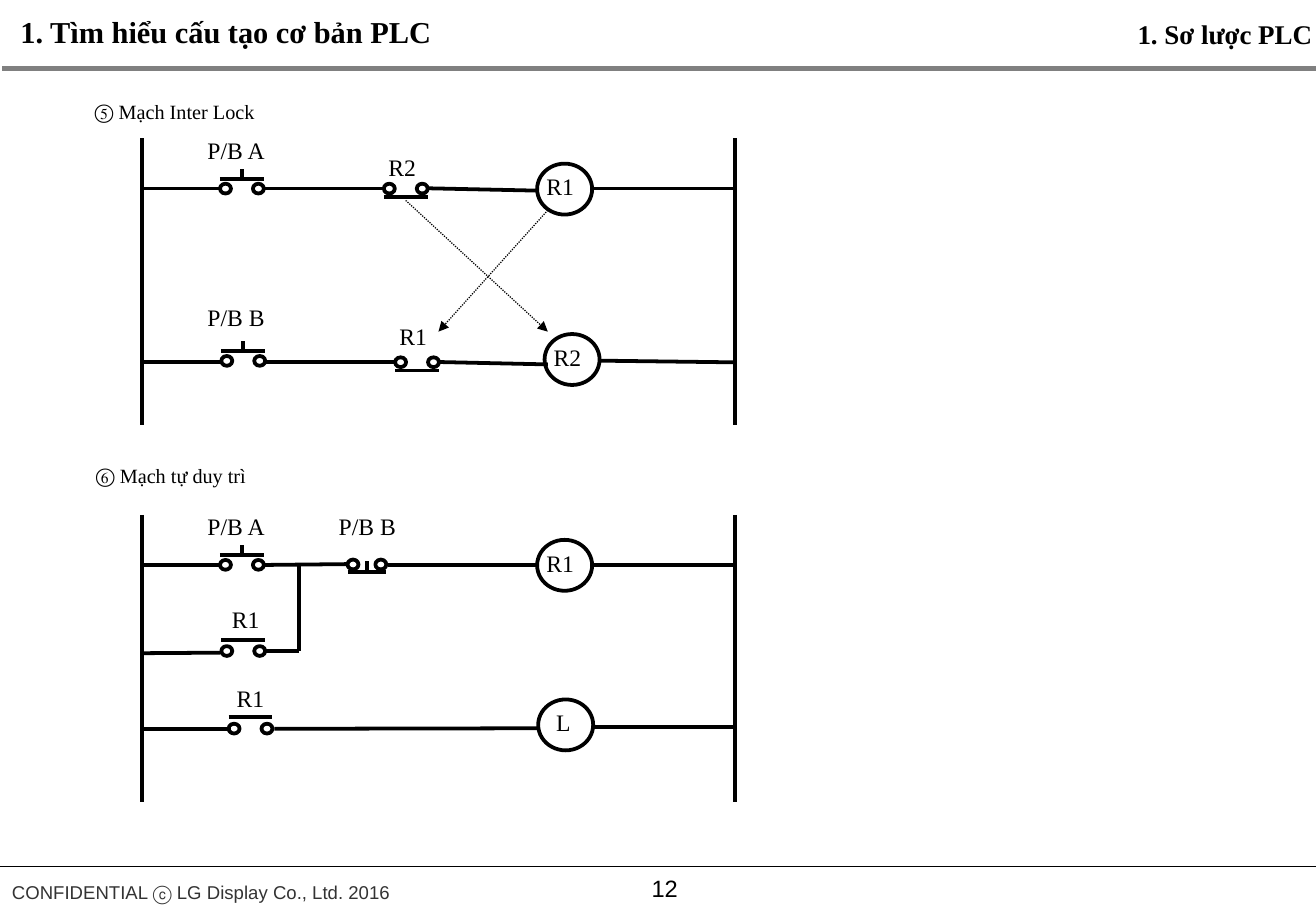
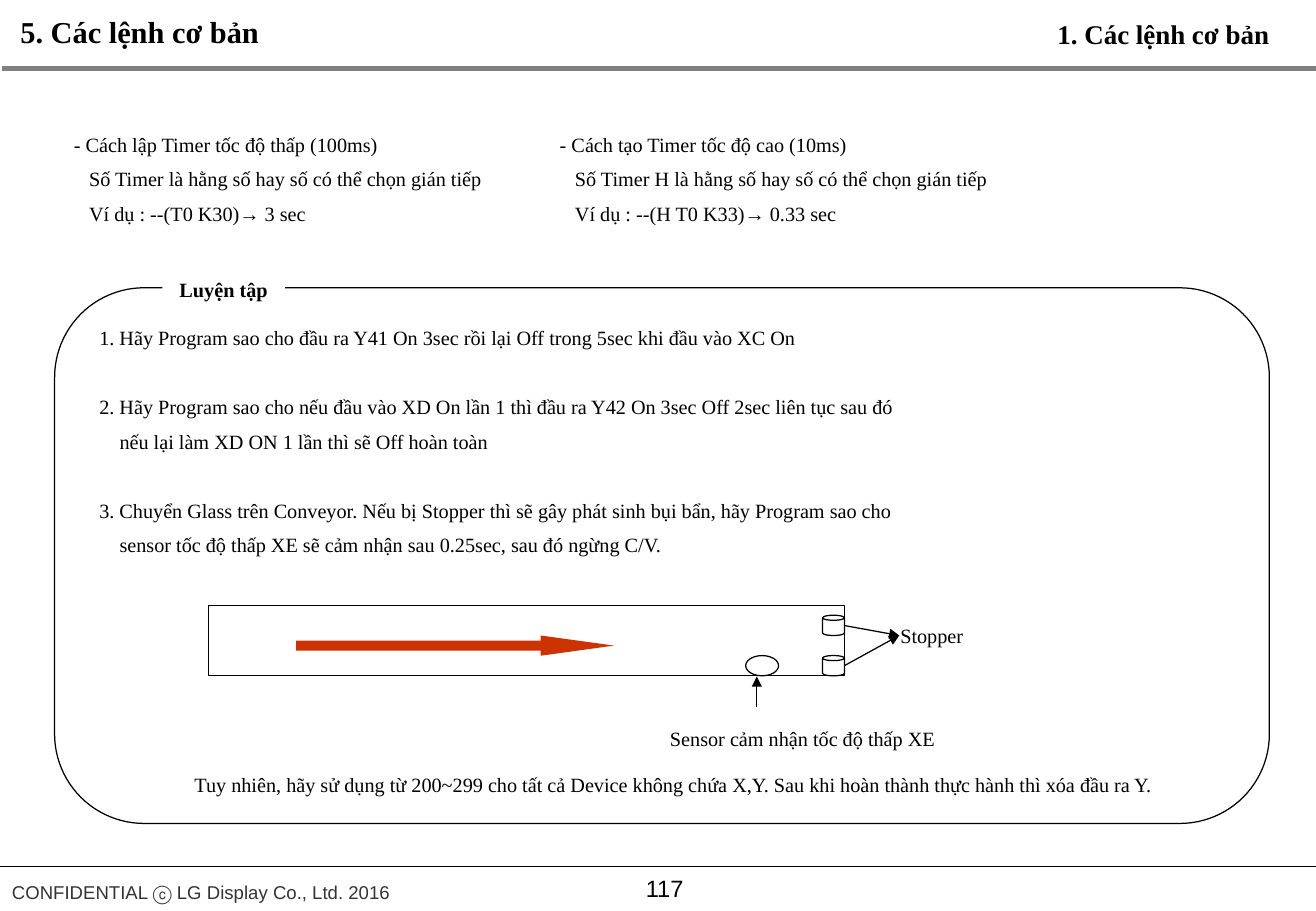
from pptx import Presentation
from pptx.dml.color import RGBColor
from pptx.enum.dml import MSO_LINE
from pptx.enum.shapes import MSO_CONNECTOR, MSO_SHAPE
from pptx.enum.text import MSO_ANCHOR, MSO_AUTO_SIZE, PP_ALIGN
from pptx.oxml.ns import qn
from pptx.util import Pt
from lxml import etree

LEFT, CENTER = PP_ALIGN.LEFT, PP_ALIGN.CENTER
OVAL, RECT, CAN = MSO_SHAPE.OVAL, MSO_SHAPE.RECTANGLE, MSO_SHAPE.CAN
ROUND, ARROW = MSO_SHAPE.ROUNDED_RECTANGLE, MSO_SHAPE.RIGHT_ARROW
SERIF, SANS = "Times New Roman", "Arial"
BLACK, WHITE, GREY, DARK, RED = "000000", "FFFFFF", "808080", "333333", "CC3300"
THIN, THICK = 0.75, 2.25
WIDE, HIGH = 780, 540
color = RGBColor.from_string

deck = Presentation()
deck.slide_width, deck.slide_height = Pt(WIDE), Pt(HIGH)


def write(slide, box, rows, size=12, bold=False, align=LEFT, wrap=True,
          font=SERIF, ink=BLACK):
    """Each row is (text, left indent, space before)."""
    area = slide.shapes.add_textbox(*map(Pt, box))
    frame = area.text_frame
    frame.word_wrap = wrap
    frame.auto_size = MSO_AUTO_SIZE.SHAPE_TO_FIT_TEXT
    for i, (text, indent, before) in enumerate(rows):
        para = frame.add_paragraph() if i else frame.paragraphs[0]
        para.alignment = align
        if indent:
            para._p.get_or_add_pPr().set("marL", str(Pt(indent)))
        if before:
            para.space_before = Pt(before)
        run = para.add_run()
        run.text = text
        run.font.name, run.font.size, run.font.bold = font, Pt(size), bold
        run.font.color.rgb = color(ink)
    return area


def draw(slide, ends, width=THICK, ink=BLACK, head=False, dots=False):
    wire = slide.shapes.add_connector(MSO_CONNECTOR.STRAIGHT, *map(Pt, ends))
    wire.line.color.rgb = color(ink)
    wire.line.width = Pt(width)
    if dots:
        wire.line.dash_style = MSO_LINE.ROUND_DOT
    if head:
        etree.SubElement(wire.line._get_or_add_ln(), qn("a:tailEnd"), type="triangle")
    etree.SubElement(wire._element.spPr, qn("a:effectLst"))


# Slides with shared title, rules and footer
heads = [
    ("1. Tìm hiểu cấu tạo cơ bản PLC", 260.6, "1. Sơ lược PLC", 672, 108, "12"),
    ("5. Các lệnh cơ bản", 157.7, "1. Các lệnh cơ bản", 619, 141, "117"),
]
slides = []
for title, span, topic, left, room, page in heads:
    slide = deck.slides.add_slide(deck.slide_layouts[6])
    slides.append(slide)
    draw(slide, (1.5, 40.5, WIDE, 40.5), 3, GREY)
    draw(slide, (0, 513.7, WIDE, 513.7), THIN)
    foot = write(slide, (0, 516.2, 240.5, 21.6),
                 [("CONFIDENTIAL ⓒ LG Display Co., Ltd. 2016", 0, 0)],
                 11, wrap=False, font=SANS, ink=DARK)
    foot.text_frame.paragraphs[0].line_spacing = 1.2
    num = write(slide, (319, 508.3, 150, 36), [(page, 0, 0)], 14, align=CENTER, font=SANS)
    num.text_frame.auto_size = MSO_AUTO_SIZE.NONE
    num.text_frame.vertical_anchor = MSO_ANCHOR.MIDDLE
    write(slide, (5, 4.3, span, 28.8), [(title, 0, 0)], 18, True, wrap=False)
    side = write(slide, (left, 6.7, room, 26.6), [(topic, 0, 0)], 16, True, CENTER, False)
    side.text_frame.margin_left = side.text_frame.margin_right = 0
plc, task = slides

# Circuit headings and labels
write(plc, (49, 55.6, 410, 21.6), [("⑤ Mạch Inter Lock", 0, 0)])
write(plc, (49.7, 271.2, 286, 21.6), [("⑥ Mạch tự duy trì", 0, 0)])
labels = [
    ("P/B A", 115.9, 77), ("R2", 223.2, 87.1), ("R1", 316.8, 98.6),
    ("P/B B", 115.9, 175.9), ("R1", 229.7, 187), ("R2", 321.1, 199.6),
    ("P/B A", 115.9, 300.2), ("P/B B", 193.7, 299.9), ("R1", 316.8, 321.6),
    ("R1", 130.3, 355), ("R1", 133.2, 401.8), ("L", 322.6, 416.2),
]
for text, x, y in labels:
    write(plc, (x, y, 66, 23.8), [(text, 0, 0)], 14)

# Rails and wires
west, east = 84.4, 435.6
for top in (82, 305.2):
    for x in (west, east):
        draw(plc, (x, top, x, top + 170))
wires = [
    (west, 111.8, 130.3, 111.8), (156.2, 111.8, 227.5, 111.8),
    (253.4, 111.6, 318.2, 113), (351.4, 111.8, east, 111.8),
    (west, 214.8, 130.3, 214.8), (156.2, 214.8, 234, 214.8),
    (259.9, 214.6, 324.7, 216), (355.7, 213.8, east, 214.8),
    (west, 334.9, 130.3, 334.9), (156.2, 334.9, 206, 334.4),
    (229.7, 334.9, 317.5, 334.9), (351.4, 334.9, east, 334.9),
    (west, 387.2, 130.3, 386.9), (157.7, 386, 177.1, 386),
    (177.1, 335.5, 177.1, 386),
    (west, 432, 136.8, 432), (162.7, 432, 319, 431.7),
    (351.4, 431, east, 431),
]
for ends in wires:
    draw(plc, ends)
for ends in ((324.7, 124.6, 259.9, 196.6), (240.5, 118.8, 324.7, 196.6)):
    draw(plc, ends, THIN, head=True, dots=True)

# Contacts: x, y, width, bar offset, stem height
forms = []
contacts = [
    (130.4, 108.9, 26, -2.9, 5.8), (227.5, 108.9, 26, 7.9, 0),
    (131.2, 211, 26, -2.9, 5.8), (234.2, 211.8, 26, 7.8, 0),
    (130.4, 331.9, 26, -2.9, 5.8), (206, 331.7, 23, 7.4, 6.4),
    (131.2, 383, 26, -3.8, 0), (135.5, 429, 26, -3.8, 0),
]
for x, y, span, bar, stem in contacts:
    for left in (x, x + span - 6.5):
        forms.append((plc, OVAL, (left, y, 6.5, 5.8), None, THICK, ()))
    draw(plc, (x, y + bar, x + span, y + bar))
    if stem:
        mid = x + span / 2
        draw(plc, (mid, y + bar, mid, y + bar - stem))

# Coils
for x, y in ((318.4, 97), (322.8, 198), (318.4, 320), (319, 414.6)):
    forms.append((plc, OVAL, (x, y, 32.6, 30.2), None, THICK, ()))

# Exercise frame and conveyor
forms += [
    (task, ROUND, (32.4, 170.6, 720, 317.5), None, THIN, (0.167,)),
    (task, RECT, (123.6, 358.8, 377, 41.8), None, THIN, ()),
    (task, OVAL, (442, 388.6, 19.5, 12), None, THIN, ()),
    (task, CAN, (487.5, 364.7, 13, 12), None, THIN, (0.25,)),
    (task, CAN, (487.5, 388.6, 13, 12), None, THIN, (0.25,)),
    (task, ARROW, (175.5, 376.7, 188.5, 12), RED, 0, (0.5, 3.625)),
]
for slide, kind, box, fill, width, bends in forms:
    form = slide.shapes.add_shape(kind, *map(Pt, box))
    form.shadow.inherit = False
    for i, bend in enumerate(bends):
        form.adjustments[i] = bend
    if fill:
        form.fill.solid()
        form.fill.fore_color.rgb = color(fill)
    else:
        form.fill.background()
    if width:
        form.line.color.rgb = color(BLACK)
        form.line.width = Pt(width)
    else:
        form.line.fill.background()
for ends in ((448.6, 419, 448.6, 401), (500.5, 370.8, 533, 376.7),
             (500.5, 394.6, 533, 376.7)):
    draw(task, ends, THIN, head=True)

# Timer notes
gap, skip = 5.95, 26.6
timers = [
    (36.7, 259.2, "- Cách lập Timer tốc độ thấp (100ms)",
     "Số Timer là hằng số hay số có thể chọn gián tiếp",
     "Ví dụ : --(T0 K30)→ 3 sec"),
    (324.7, 271.4, "- Cách tạo Timer tốc độ cao (10ms)",
     "Số Timer H là hằng số hay số có thể chọn gián tiếp",
     "Ví dụ : --(H T0 K33)→ 0.33 sec"),
]
for x, span, name, note, case in timers:
    write(task, (x, 74.9, span, 65.5),
          [(name, 0, 0), (note, 9, gap), (case, 9, gap)], wrap=False)

# Exercise text
write(task, (51.8, 189.4, 695.5, 152.6), [
    ("1. Hãy Program sao cho đầu ra Y41 On 3sec rồi lại Off trong 5sec khi đầu vào XC On", 0, 0),
    ("2. Hãy Program sao cho nếu đầu vào XD On lần 1 thì đầu ra Y42 On 3sec Off 2sec liên tục sau đó", 0, skip),
    ("nếu lại làm XD ON 1 lần thì sẽ Off hoàn toàn", 12, gap),
    ("3. Chuyển Glass trên Conveyor. Nếu bị Stopper thì sẽ gây phát sinh bụi bẩn, hãy Program sao cho", 0, skip),
    ("sensor tốc độ thấp XE sẽ cảm nhận sau 0.25sec, sau đó ngừng C/V.", 12, gap),
])
notes = [
    ("Sensor cảm nhận tốc độ thấp XE", 389, 427, 173.5),
    ("Stopper", 526, 365.8, 52.6),
    ("Tuy nhiên, hãy sử dụng từ 200~299 cho tất cả Device không chứa X,Y. "
     "Sau khi hoàn thành thực hành thì xóa đầu ra Y.", 104.6, 454.5, 589.7),
]
for text, x, y, span in notes:
    write(task, (x, y, span, 21.6), [(text, 0, 0)], align=CENTER, wrap=False)
tag = write(task, (96.2, 160.6, 72.7, 21.6), [("Luyện tập", 0, 0)], bold=True, align=CENTER)
tag.fill.solid()
tag.fill.fore_color.rgb = color(WHITE)

deck.save("out.pptx")
